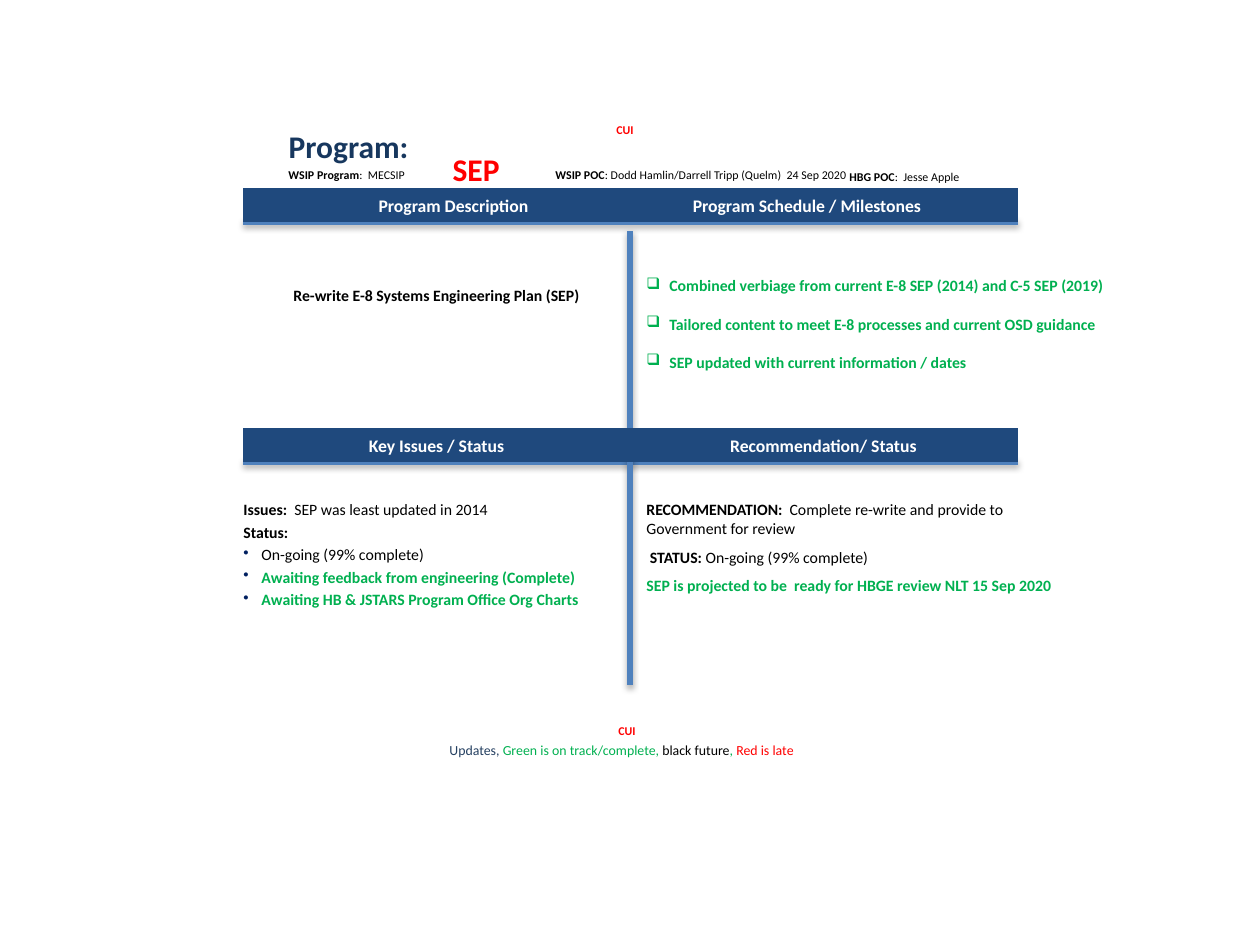
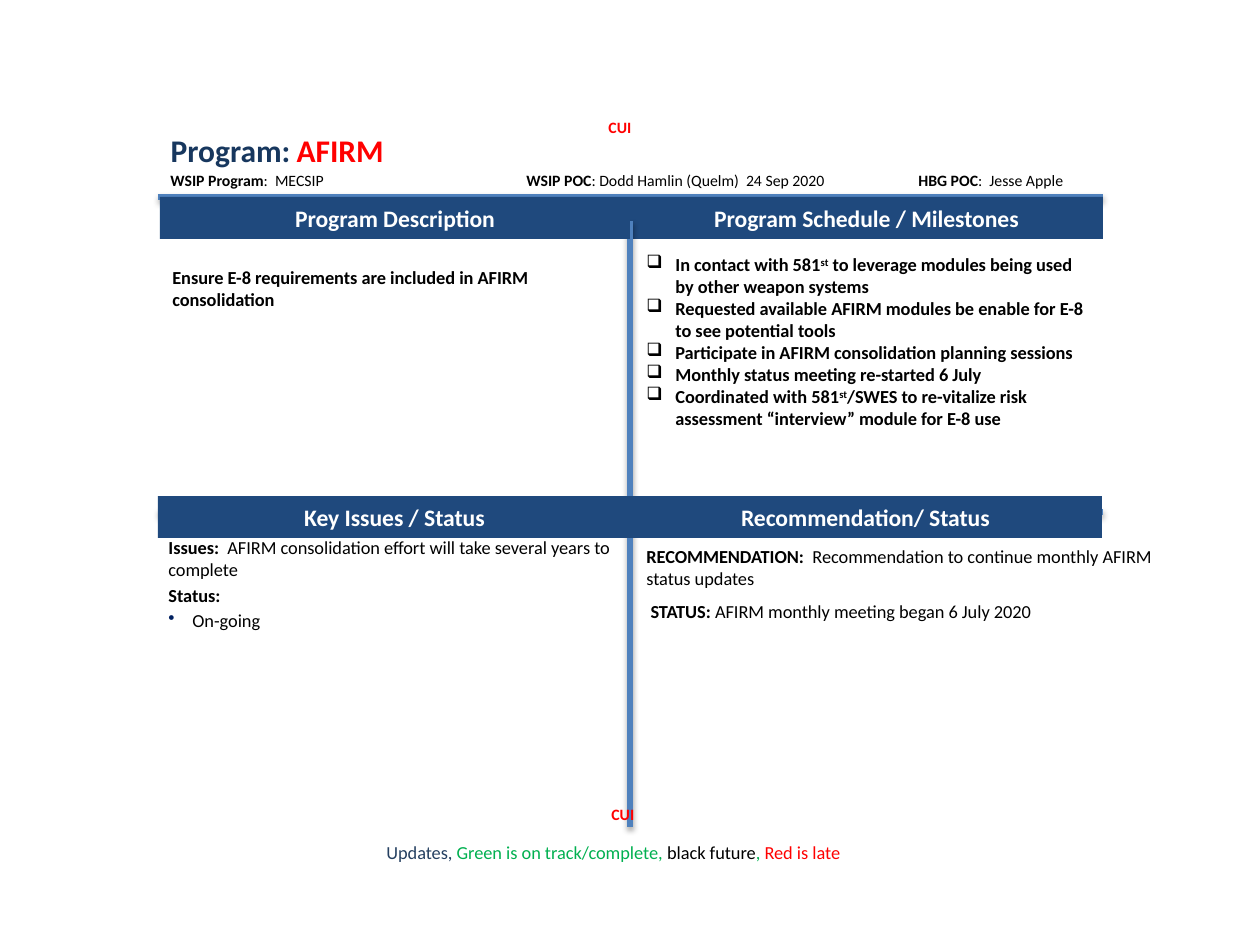
"""Build two program status quad charts with shared bands, rules and legend."""
from lxml import etree
from pptx import Presentation
from pptx.dml.color import RGBColor
from pptx.enum.shapes import MSO_CONNECTOR, MSO_SHAPE
from pptx.enum.text import MSO_ANCHOR, MSO_AUTO_SIZE, PP_ALIGN
from pptx.oxml import parse_xml
from pptx.oxml.ns import nsdecls, qn
from pptx.util import Emu, Pt

LINE, RECT = MSO_CONNECTOR.STRAIGHT, MSO_SHAPE.RECTANGLE
TOP, MID = MSO_ANCHOR.TOP, MSO_ANCHOR.MIDDLE
LEFT, MIDDLE = PP_ALIGN.LEFT, PP_ALIGN.CENTER
NONE = MSO_AUTO_SIZE.NONE
SCALE = 914400 / 126
FONT = "Calibri"
BAND, RULE, DOT = "1F497D", "4F81BD", "002060"
STYLE = {
    "bold": ("000000", True), "plain": ("000000", False),
    "super": ("000000", True), "done": ("00B050", True),
    "green": ("00B050", False), "red": ("FF0000", False),
    "alert": ("FF0000", True), "navy": ("254061", False),
    "head": ("17375E", True), "band": ("FFFFFF", True),
}
SHADOW = (
    f'<a:effectLst {nsdecls("a")}><a:outerShdw blurRad="40000" dist="23000" '
    'dir="5400000" rotWithShape="0"><a:srgbClr val="000000">'
    '<a:alpha val="35000"/></a:srgbClr></a:outerShdw></a:effectLst>'
)
LEGEND = [("navy", "Updates, "), ("green", "Green is on track/complete, "),
          ("plain", "black future"), ("green", ", "), ("red", "Red is late")]
BANDS = {"plan": "Program Schedule / Milestones", "key": "Key Issues / Status",
         "about": "Program Description", "advice": "Recommendation/ Status"}
GAP = {"space_before": Pt(2)}
TALL = {"line_spacing": 1.5}

PAGES = [
    {
        "title": (276, 136, 697, 35), "name": "SEP", "lead": 12.9,
        "indent": 164, "tab": None,
        "small": 6.8, "body": 9, "band": 10.1, "note": 7.9,
        "rules": [(243, 222, 1018, 222), (243, 462, 1018, 462), (630, 685, 630, 231)],
        "bands": {"plan": (596, 188, 422, 34), "key": (243, 428, 387, 34),
                  "about": (243, 188, 421, 34), "advice": (629, 428, 389, 34)},
        "heads": [
            ((276, 161, 160, 26), "WSIP Program", ":  MECSIP"),
            ((543, 161, 330, 26), "WSIP POC", ": Dodd Hamlin/Darrell Tripp (Quelm)  24 Sep 2020"),
            ((837, 163, 160, 26), "HBG POC", ":  Jesse Apple"),
        ],
        "marks": [(604, 116, 64, 26), (606, 717, 64, 26)],
        "legend": (437, 735, 383, 29),
        "hang": 23, "dent": 18, "step": {"space_before": Pt(11)},
        "about": ((281, 280, 352, 50), "Re-write E-8 Systems Engineering Plan (SEP)"),
        "plan": ((634, 270, 503, 141), [
            [("done", "Combined verbiage from current E-8 SEP (2014) and C-5 SEP (2019)")],
            [("done", "Tailored content to meet E-8 processes and current OSD guidance")],
            [("done", "SEP updated with current information / dates")],
        ]),
        "advice": ((634, 494, 433, 203), "Complete re-write and provide to Government for review", [
            [("plain", " "), ("bold", "STATUS: "), ("plain", "On-going (99% complete)")],
            [("done", "SEP is projected to be  ready for HBGE review NLT 15 Sep 2020")],
        ]),
        "key": ((231, 494, 387, 123), "SEP was least updated in 2014", [
            [("plain", "On-going (99% complete)")],
            [("done", "Awaiting feedback from engineering (Complete)")],
            [("done", "Awaiting HB & JSTARS Program Office Org Charts")],
        ]),
    },
    {
        "title": (158, 132, 929, 43), "name": "AFIRM", "lead": 17.2,
        "indent": 0, "tab": 775,
        "small": 9, "body": 10.5, "band": 13.5, "note": 10.5,
        "rules": [(158, 197, 1103, 197), (158, 512, 1103, 512), (630, 827, 630, 221)],
        "bands": {"plan": (630, 197, 473, 42), "key": (158, 496, 473, 42),
                  "about": (160, 197, 470, 42), "advice": (629, 496, 473, 42)},
        "heads": [
            ((158, 165, 200, 32), "WSIP Program", ":  MECSIP"),
            ((514, 165, 380, 32), "WSIP POC", ": Dodd Hamlin (Quelm)  24 Sep 2020"),
            ((906, 165, 190, 32), "HBG POC", ":  Jesse Apple"),
        ],
        "marks": [(596, 112, 70, 32), (599, 799, 70, 32)],
        "legend": (374, 835, 510, 35),
        "hang": 29, "dent": 24, "step": {},
        "about": ((160, 260, 469, 102), "Ensure E-8 requirements are included in AFIRM consolidation"),
        "plan": ((634, 247, 469, 236), [
            [("bold", "In contact with 581"), ("super", "st"),
             ("bold", " to leverage modules being used by other weapon systems")],
            [("bold", "Requested available AFIRM modules be enable for E-8 to see potential tools")],
            [("bold", "Participate in AFIRM consolidation planning sessions")],
            [("bold", "Monthly status meeting re-started 6 July")],
            [("bold", "Coordinated with 581"), ("super", "st"),
             ("bold", "/SWES to re-vitalize risk assessment “interview” module for E-8 use")],
        ]),
        "advice": ((634, 539, 576, 117), "Recommendation to continue monthly AFIRM status updates", [
            [("plain", " "), ("bold", "STATUS: "), ("plain", "AFIRM monthly meeting began 6 July 2020")],
        ]),
        "key": ((156, 530, 470, 111), "AFIRM consolidation effort will take several years to complete", [
            [("plain", "On-going")],
        ]),
    },
]


def px(*nums):
    """Turn pixel lengths into EMU."""
    return [Emu(round(n * SCALE)) for n in nums]


def write(shape, size, paras, anchor=TOP):
    """Fill a shape with paragraphs of (runs, format, bullet)."""
    frame = shape.text_frame
    look = {"word_wrap": True, "auto_size": NONE, "vertical_anchor": anchor}
    for key, val in look.items():
        setattr(frame, key, val)
    for i, (runs, form, bullet) in enumerate(paras):
        par = frame.add_paragraph() if i else frame.paragraphs[0]
        for key, val in ({"alignment": LEFT} | form).items():
            setattr(par, key, val)
        if bullet:
            sign, hang, tint = bullet
            props = par._p.get_or_add_pPr()
            props.set("marL", str(px(hang)[0]))
            props.set("indent", str(-px(hang)[0]))
            if tint:
                color = etree.SubElement(props, qn("a:buClr"))
                etree.SubElement(color, qn("a:srgbClr")).set("val", tint)
            etree.SubElement(props, qn("a:buChar")).set("char", sign)
        for kind, text in runs:
            if text == "\v":
                par.add_line_break()
                continue
            run = par.add_run()
            run.text = text
            tone, bold = STYLE[kind]
            for key, val in {"name": FONT, "size": Pt(size), "bold": bold}.items():
                setattr(run.font, key, val)
            run.font.color.rgb = RGBColor.from_string(tone)
            if kind == "super":
                run._r.get_or_add_rPr().set("baseline", "30000")


deck = Presentation()
deck.slide_width, deck.slide_height = px(1260, 945)

for page in PAGES:
    slide = deck.slides.add_slide(deck.slide_layouts[5])
    shapes = slide.shapes
    title = shapes.title
    title.left, title.top, title.width, title.height = px(*page["title"])
    split = "\t" if page["tab"] else "\v"
    write(title, 18, [([("head", "Program:"), ("head", split), ("alert", page["name"])],
                       {"line_spacing": Pt(page["lead"])}, None)])
    props = title.text_frame.paragraphs[0]._p.get_or_add_pPr()
    props.set("marL", str(px(page["indent"])[0]))
    props.set("indent", str(-px(page["indent"])[0]))
    if page["tab"]:
        tabs = etree.SubElement(props, qn("a:tabLst"))
        stop = etree.SubElement(tabs, qn("a:tab"))
        stop.set("pos", str(px(page["tab"])[0]))
        stop.set("algn", "l")

    top, mid, post = page["rules"]
    for item in (top, "plan", mid, post, "key", "about", "advice"):
        if item in BANDS:
            band = shapes.add_shape(RECT, *px(*page["bands"][item]))
            band.shadow.inherit = False
            band.fill.solid()
            band.fill.fore_color.rgb = RGBColor.from_string(BAND)
            band.line.fill.background()
            band.text_frame.margin_top = band.text_frame.margin_bottom = 0
            write(band, page["band"], [([("band", BANDS[item])], {"alignment": MIDDLE}, None)], MID)
        else:
            rule = shapes.add_connector(LINE, *px(*item))
            rule.line.color.rgb = RGBColor.from_string(RULE)
            rule.line.width = Pt(3)
            rule._element.spPr.append(parse_xml(SHADOW))

    body, small = page["body"], page["small"]
    spot, about = page["about"]
    notes = [(spot, body, [([("bold", about)], {}, None)])]
    spot, advice, rest = page["advice"]
    notes.append((spot, body, [([("bold", "RECOMMENDATION:  "), ("plain", advice)], {}, None)]
                  + [(runs, TALL, None) for runs in rest]))
    spot, goals = page["plan"]
    notes.append((spot, body, [(runs, page["step"] if i else {}, ("❑", page["hang"], None))
                               for i, runs in enumerate(goals)]))
    spot, issue, states = page["key"]
    notes.append((spot, body, [([("bold", "Issues:  "), ("plain", issue)], {}, None),
                               ([("bold", "Status:")], GAP, None)]
                  + [(runs, GAP, ("•", page["dent"], DOT)) for runs in states]))
    notes += [(spot, small, [([("bold", label), ("plain", text)], {}, None)])
              for spot, label, text in page["heads"]]
    notes += [(spot, small, [([("alert", "CUI")], {}, None)]) for spot in page["marks"]]
    notes.append((page["legend"], page["note"], [(LEGEND, {}, None)]))
    for spot, size, paras in notes:
        write(shapes.add_textbox(*px(*spot)), size, paras)

deck.save("out.pptx")
